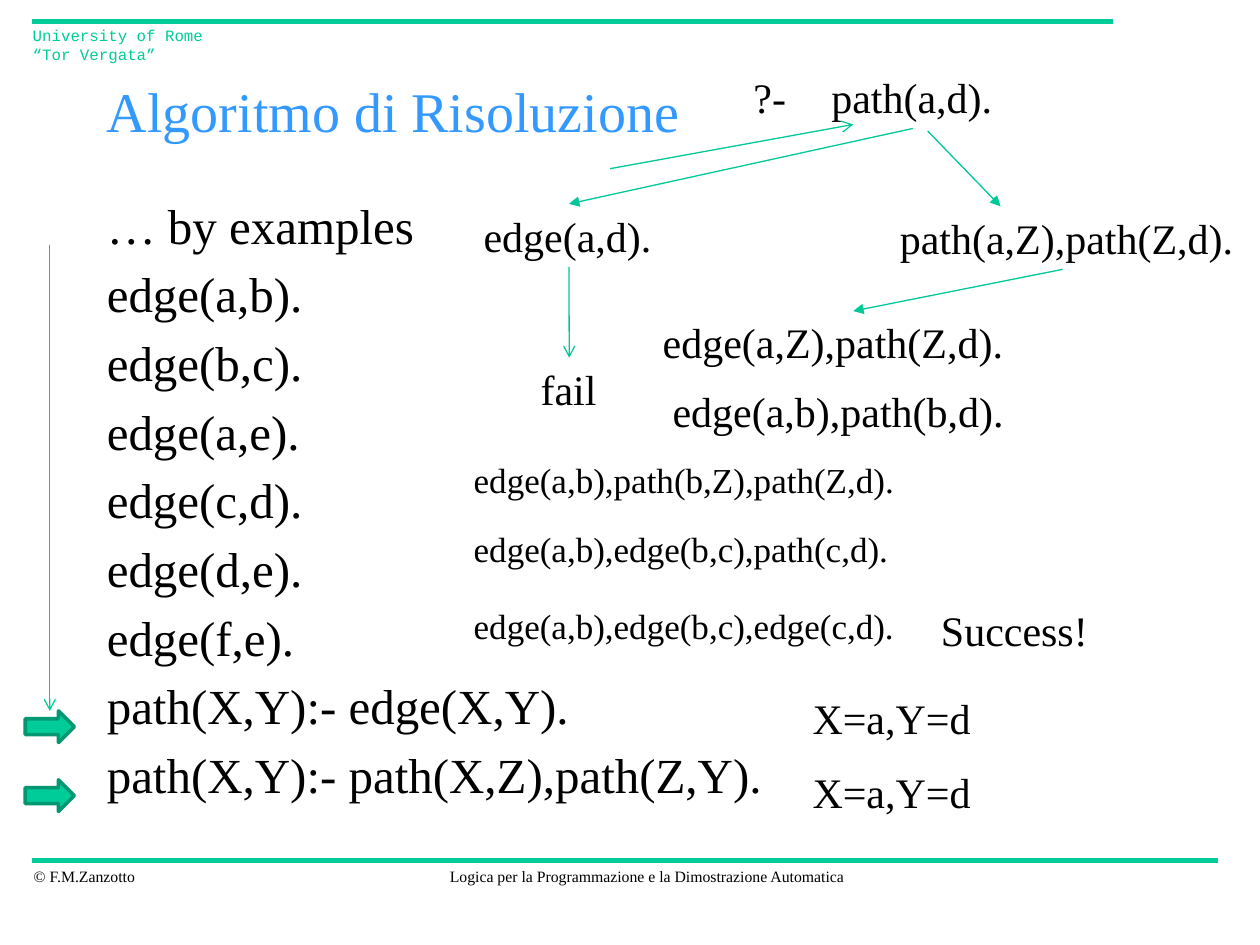
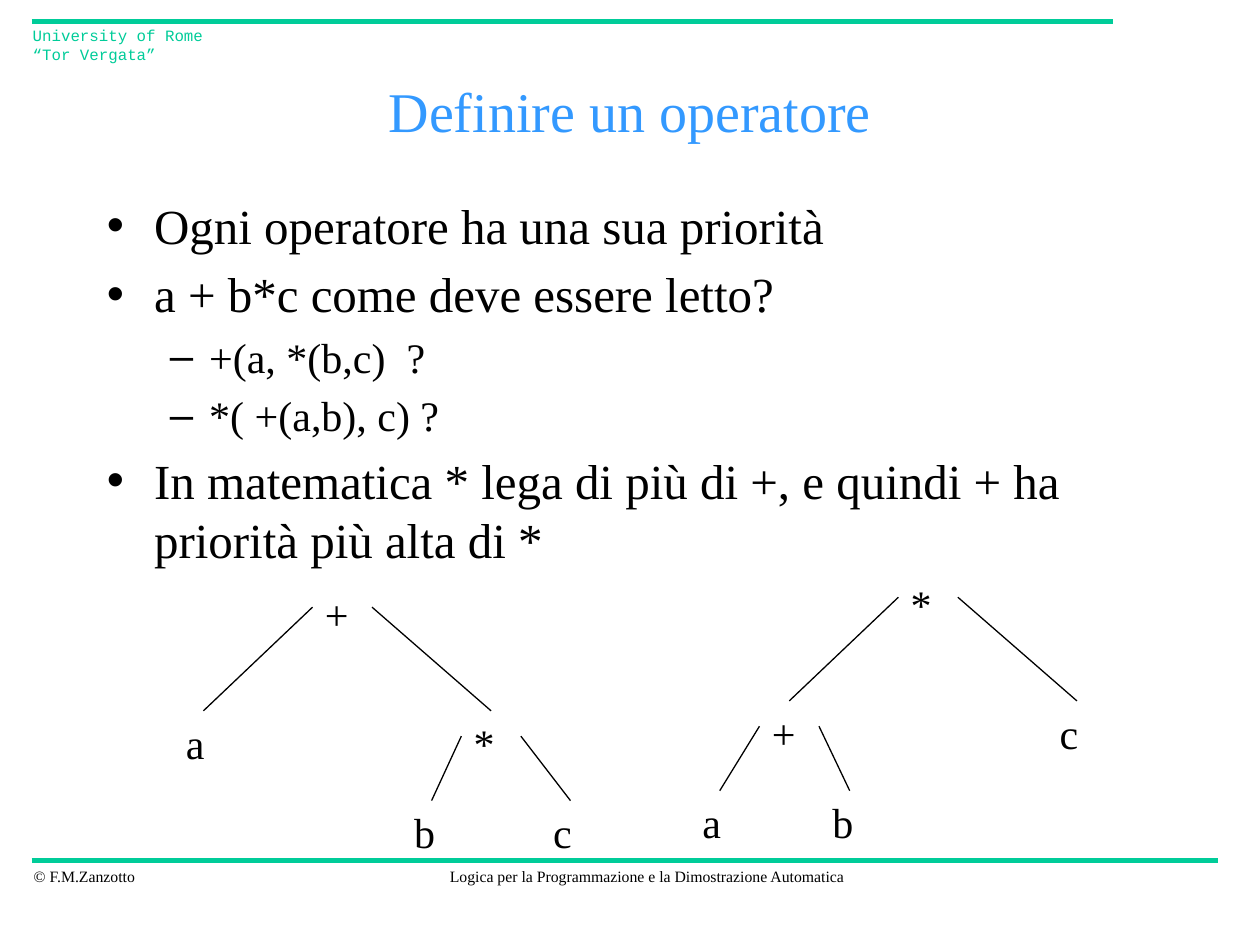
from dataclasses import dataclass

import pptx
import pptx.dml.color
import pptx.enum.shapes
import pptx.enum.text
import pptx.oxml
import pptx.oxml.ns
import pptx.util

Cm, Pt = pptx.util.Cm, pptx.util.Pt
Align = pptx.enum.text.PP_ALIGN
Anchor = pptx.enum.text.MSO_ANCHOR
TOP, LEFT, BOTTOM, RIGHT = range(4)  # connection sites


@dataclass(frozen=True)
class Style:
    size: int
    color: str = "000000"
    name: str = "Times New Roman"


class Theme:
    green, dark_green, arrow_green, black = "00CC99", "009771", "00C896", "000000"
    band, outline, thin = 3, 2, 0.75
    title = Style(32, "3399FF")
    levels = [Style(28), Style(24)]
    label = Style(24)
    small = Style(20)
    footer = Style(9)
    school = Style(9, green, "Courier New")


@dataclass(frozen=True)
class Box:
    """A region in centimetres."""
    left: float
    top: float
    width: float
    height: float

    def inner(self, dx, dy, width, height):
        return Box(self.left + dx, self.top + dy, width, height)

    def point(self, dx, dy):
        return Cm(self.left + dx), Cm(self.top + dy)

    def lengths(self):
        return [Cm(v) for v in (self.left, self.top, self.width, self.height)]


PAGE = Box(0, 0, 25.4, 19.05)
TITLE = Box(1.9, 1.27, 21.6, 1.9)
BODY = Box(1.9, 3.81, 21.6, 13.13)


def rgb(color):
    return pptx.dml.color.RGBColor.from_string(color)


# --- Basic parts ---
def write(para, text, style, align=Align.LEFT):
    para.alignment = align
    span = para.add_run()
    span.text = text
    formats = {"name": style.name, "size": Pt(style.size)}
    for key, value in formats.items():
        setattr(span.font, key, value)
    span.font.color.rgb = rgb(style.color)


def set_frame(frame, anchor):
    formats = {"word_wrap": True, "vertical_anchor": anchor,
               "auto_size": pptx.enum.text.MSO_AUTO_SIZE.NONE}
    for key, value in formats.items():
        setattr(frame, key, value)


def add_label(page, text, box, style=Theme.label, align=Align.LEFT):
    label = page.shapes.add_textbox(*box.lengths())
    set_frame(label.text_frame, Anchor.TOP)
    for number, line in enumerate(text.split("\n")):
        para = label.text_frame.paragraphs[0]
        if number:
            para.add_line_break()
        write(para, line, style, align)
    return label


def add_line(page, start, end, color, width=Theme.thin, head=None):
    line = page.shapes.add_connector(
        pptx.enum.shapes.MSO_CONNECTOR.STRAIGHT, *start, *end)
    line.line.color.rgb = rgb(color)
    line.line.width = Pt(width)
    if head:
        tail = pptx.oxml.parse_xml(
            f'<a:tailEnd {pptx.oxml.ns.nsdecls("a")} type="{head}"/>')
        line.line._get_or_add_ln().append(tail)
    line._element.spPr.append(pptx.oxml.parse_xml(
        f'<a:effectLst {pptx.oxml.ns.nsdecls("a")}/>'))
    return line


def join(page, first, first_site, last, last_site, color, head=None):
    line = add_line(page, (0, 0), (0, 0), color, head=head)
    line.begin_connect(first, first_site)
    line.end_connect(last, last_site)


def place(holder, box, anchor):
    for key, value in zip(("left", "top", "width", "height"), box.lengths()):
        setattr(holder, key, value)
    set_frame(holder.text_frame, anchor)


# --- Shared by the slides ---
def draw_bands(page, box):
    for y, right in ((0.43, 22.43), (17.35, 24.56)):
        add_line(page, box.point(0.64, y), box.point(right, y),
                 Theme.green, Theme.band)
    add_label(page, "University of Rome\n“Tor Vergata”",
              box.inner(0.41, 0.4, 4.34, 0.98), Theme.school)
    add_label(page, "© F.M.Zanzotto",
              box.inner(0.43, 17.35, 2.6, 0.64), Theme.footer)
    add_label(page, "Logica per la Programmazione e la Dimostrazione Automatica",
              box.inner(8.76, 17.35, 8.56, 0.64), Theme.footer, Align.CENTER)


def start_page(deck, title, items, title_align=Align.CENTER, bullets=True):
    page = deck.slides.add_slide(deck.slide_layouts[1])
    draw_bands(page, PAGE)
    heading, body = page.shapes.title, page.placeholders[1]
    place(heading, TITLE, Anchor.MIDDLE)
    write(heading.text_frame.paragraphs[0], title, Theme.title, title_align)

    place(body, BODY, Anchor.TOP)
    for number, (level, text) in enumerate(items):
        frame = body.text_frame
        para = frame.add_paragraph() if number else frame.paragraphs[0]
        para.level = level
        write(para, text, Theme.levels[level])
        if not bullets:
            props = para._p.get_or_add_pPr()
            props.set("marL", "0")
            props.set("indent", "0")
            props.append(pptx.oxml.parse_xml(
                f'<a:buNone {pptx.oxml.ns.nsdecls("a")}/>'))
    return page


# --- Resolution slide ---
def draw_derivation(page, box):
    goals = [
        ("?-", 5.64, 0, 1.17),
        ("path(a,d).", 7.21, 0, 3.78),
        ("edge(a,d).", 0.2, 2.79, 3.94),
        ("fail", 1.35, 5.89, 1.65),
        ("path(a,Z),path(Z,d).", 8.59, 2.84, 7.82),
        ("edge(a,Z),path(Z,d).", 3.81, 4.93, 7.82),
        ("edge(a,b),path(b,d).", 4.01, 6.32, 7.82),
        ("Success!", 9.42, 10.74, 3.51),
        ("X=a,Y=d", 6.83, 12.52, 3.78),
        ("X=a,Y=d", 6.83, 14, 3.78),
    ]
    labels = {text: add_label(page, text, box.inner(dx, dy, width, 1.27))
              for text, dx, dy, width in goals}
    steps = [
        ("edge(a,b),path(b,Z),path(Z,d).", 7.8),
        ("edge(a,b),edge(b,c),path(c,d).", 9.19),
        ("edge(a,b),edge(b,c),edge(c,d).", 10.74),
    ]
    for text, dy in steps:
        add_label(page, text, box.inner(0, dy, 10.52, 1.12), Theme.small)

    # Arrows between goals
    for first, last, head in (("path(a,d).", "edge(a,d).", "triangle"),
                              ("edge(a,d).", "fail", "arrow")):
        join(page, labels[first], BOTTOM, labels[last], TOP,
             Theme.arrow_green, head)
    for start, end, head in (((3, 2.08), (7.9, 1.19), "arrow"),
                             ((9.4, 1.32), (10.87, 2.84), "triangle"),
                             ((12.12, 4.11), (7.9, 4.95), "triangle")):
        add_line(page, box.point(*start), box.point(*end),
                 Theme.arrow_green, head=head)


def draw_rule_pointers(page, box):
    add_line(page, box.point(box.width / 2, 0), box.point(box.width / 2, 9.4),
             Theme.arrow_green, head="arrow")
    for dy in (9.4, 10.79):
        pointer = page.shapes.add_shape(
            pptx.enum.shapes.MSO_SHAPE.RIGHT_ARROW,
            *box.inner(0, dy, box.width, 0.64).lengths())
        pointer.shadow.inherit = False
        pointer.fill.solid()
        pointer.fill.fore_color.rgb = rgb(Theme.green)
        pointer.line.color.rgb = rgb(Theme.dark_green)
        pointer.line.width = Pt(Theme.outline)


def build_resolution(deck):
    facts = [f"edge({pair})." for pair in ("a,b", "b,c", "a,e", "c,d", "d,e", "f,e")]
    rules = ["path(X,Y):- edge(X,Y).", "path(X,Y):- path(X,Z),path(Z,Y)."]
    items = [(0, text) for text in ["… by examples", *facts, *rules]]
    page = start_page(deck, "Algoritmo di Risoluzione", items, Align.LEFT, False)
    draw_derivation(page, Box(9.3, 1.32, 16.41, 15.27))
    draw_rule_pointers(page, Box(0.51, 4.93, 0.99, 11.43))


# --- Operator slide ---
def draw_tree(page, tree, box, drops=(2.6, 1.81)):
    """Draw a symbol in its box, then its (offset, subtree) children below."""
    symbol, *children = tree
    node = add_label(page, symbol, box)
    for side, (dx, subtree) in zip((LEFT, RIGHT), children):
        child_box = box.inner(dx, drops[0], box.width, box.height)
        child = draw_tree(page, subtree, child_box, drops[1:])
        join(page, child, TOP, node, side, Theme.black)
    return node


def build_operators(deck):
    page = start_page(deck, "Definire un operatore", [
        (0, "Ogni operatore ha una sua priorità"),
        (0, "a + b*c come deve essere letto?"),
        (1, "+(a, *(b,c)  ?"),
        (1, "*( +(a,b), c) ?"),
        (0, "In matematica * lega di più di +, e quindi + ha priorità più alta di *"),
    ])
    product = ("*", (-1.2, ("b",)), (1.6, ("c",)))
    total = ("+", (-1.4, ("a",)), (1.22, ("b",)))
    draw_tree(page, ("+", (-2.8, ("a",)), (3, product)), Box(6.3, 11.73, 1.2, 1.02))
    draw_tree(page, ("*", (-2.8, total), (3, ("c",))), Box(18.11, 11.53, 1.2, 1.02))


def main():
    deck = pptx.Presentation()
    deck.slide_width, deck.slide_height = Cm(PAGE.width), Cm(PAGE.height)
    build_resolution(deck)
    build_operators(deck)
    deck.save("out.pptx")


if __name__ == "__main__":
    main()
